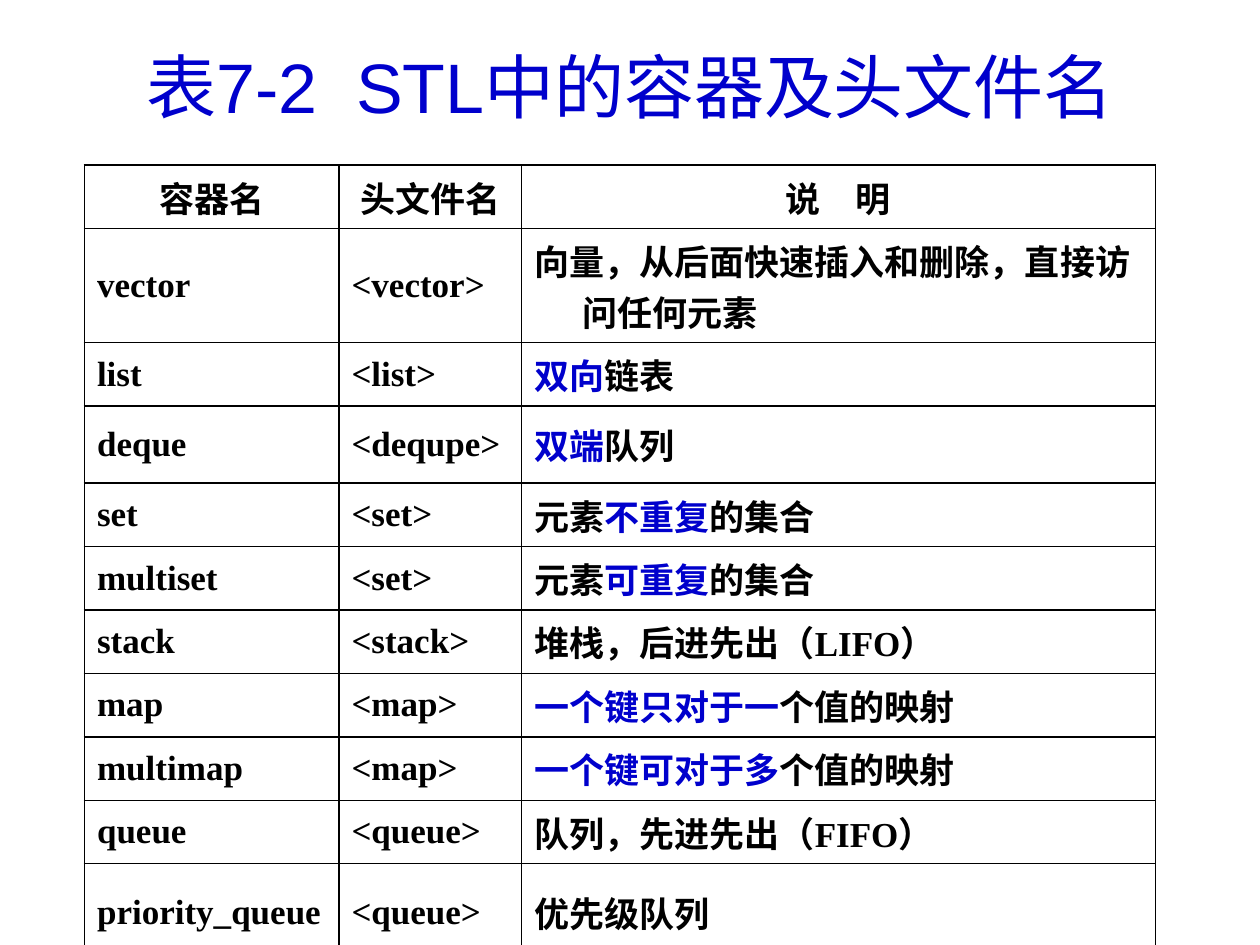
"""Build a slide with a table of STL containers and their header files."""
from lxml.etree import SubElement
from pptx import Presentation
from pptx.dml.color import RGBColor
from pptx.enum.text import MSO_ANCHOR, PP_ALIGN
from pptx.oxml.ns import qn
from pptx.util import Inches, Pt

HUES = {"ink": "000000", "blue": "0000CC"}
TITLE = "表7-2  STL中的容器及头文件名"
HEAD = ["容器名", "头文件名", "说　明"]
ROWS = [
    ("vector", "<vector>", [("向量，从后面快速插入和删除，直接访问任何元素", "ink")]),
    ("list", "<list>", [("双向", "blue"), ("链表", "ink")]),
    ("deque", "<dequpe>", [("双端", "blue"), ("队列", "ink")]),
    ("set", "<set>", [("元素", "ink"), ("不重复", "blue"), ("的集合", "ink")]),
    ("multiset", "<set>", [("元素", "ink"), ("可重复", "blue"), ("的集合", "ink")]),
    ("stack", "<stack>", [("堆栈，后进先出（LIFO）", "ink")]),
    ("map", "<map>", [("一个键只对于一", "blue"), ("个值的映射", "ink")]),
    ("multimap", "<map>", [("一个键可对于多", "blue"), ("个值的映射", "ink")]),
    ("queue", "<queue>", [("队列，先进先出（FIFO）", "ink")]),
    ("priority_queue", "<queue>", [("优先级队列", "ink")]),
]
WIDTHS = [2.02, 1.45, 5.03]
HEIGHTS = [0.47, 0.77, 0.43, 0.61, 0.43, 0.43, 0.47, 0.43, 0.47, 0.47, 0.77]
HANG = Inches(0.38)


def add_run(para, text, hue, font, size, bold=False):
    run = para.add_run()
    run.text = text
    run.font.name = font
    run.font.size = Pt(size)
    run.font.bold = bold
    run.font.color.rgb = RGBColor.from_string(HUES[hue])


def add_lines(cell):
    props = cell._tc.get_or_add_tcPr()
    for side in ("lnL", "lnR", "lnT", "lnB"):
        line = SubElement(props, qn(f"a:{side}"), w=str(Pt(1)))
        fill = SubElement(line, qn("a:solidFill"))
        SubElement(fill, qn("a:srgbClr"), val=HUES["ink"])


def fill_cell(cell, runs, align):
    add_lines(cell)
    cell.fill.background()
    cell.vertical_anchor = MSO_ANCHOR.MIDDLE
    cell.margin_left = cell.margin_right = Inches(0.1)
    cell.margin_top = cell.margin_bottom = Inches(0.05)
    para = cell.text_frame.paragraphs[0]
    para.alignment = align
    props = para._p.get_or_add_pPr()
    props.set("marL", str(HANG))
    props.set("indent", str(-HANG))
    for text, hue in runs:
        add_run(para, text, hue, "Times New Roman", 20, True)


def add_title(slide):
    title = slide.shapes.title
    title.left, title.top = Inches(0.75), Inches(0.28)
    title.width, title.height = Inches(8.5), Inches(0.79)
    frame = title.text_frame
    frame.vertical_anchor = MSO_ANCHOR.MIDDLE
    para = frame.paragraphs[0]
    para.alignment = PP_ALIGN.CENTER
    add_run(para, TITLE, "blue", "Arial", 40)


def add_grid(slide):
    table = slide.shapes.add_table(
        len(HEIGHTS), len(WIDTHS), Inches(0.67), Inches(1.31),
        Inches(sum(WIDTHS)), Inches(sum(HEIGHTS))).table
    table.first_row = table.horz_banding = False
    for col, width in zip(table.columns, WIDTHS):
        col.width = Inches(width)
    for row, height in zip(table.rows, HEIGHTS):
        row.height = Inches(height)
    for r, texts in enumerate([HEAD, *ROWS]):
        align = PP_ALIGN.LEFT if r else PP_ALIGN.CENTER
        for c, text in enumerate(texts):
            runs = [(text, "ink")] if isinstance(text, str) else text
            fill_cell(table.cell(r, c), runs, align)


def main():
    deck = Presentation()
    deck.slide_width, deck.slide_height = Inches(10), Inches(7.5)
    slide = deck.slides.add_slide(deck.slide_layouts[5])
    add_title(slide)
    add_grid(slide)
    deck.save("out.pptx")


if __name__ == "__main__":
    main()
